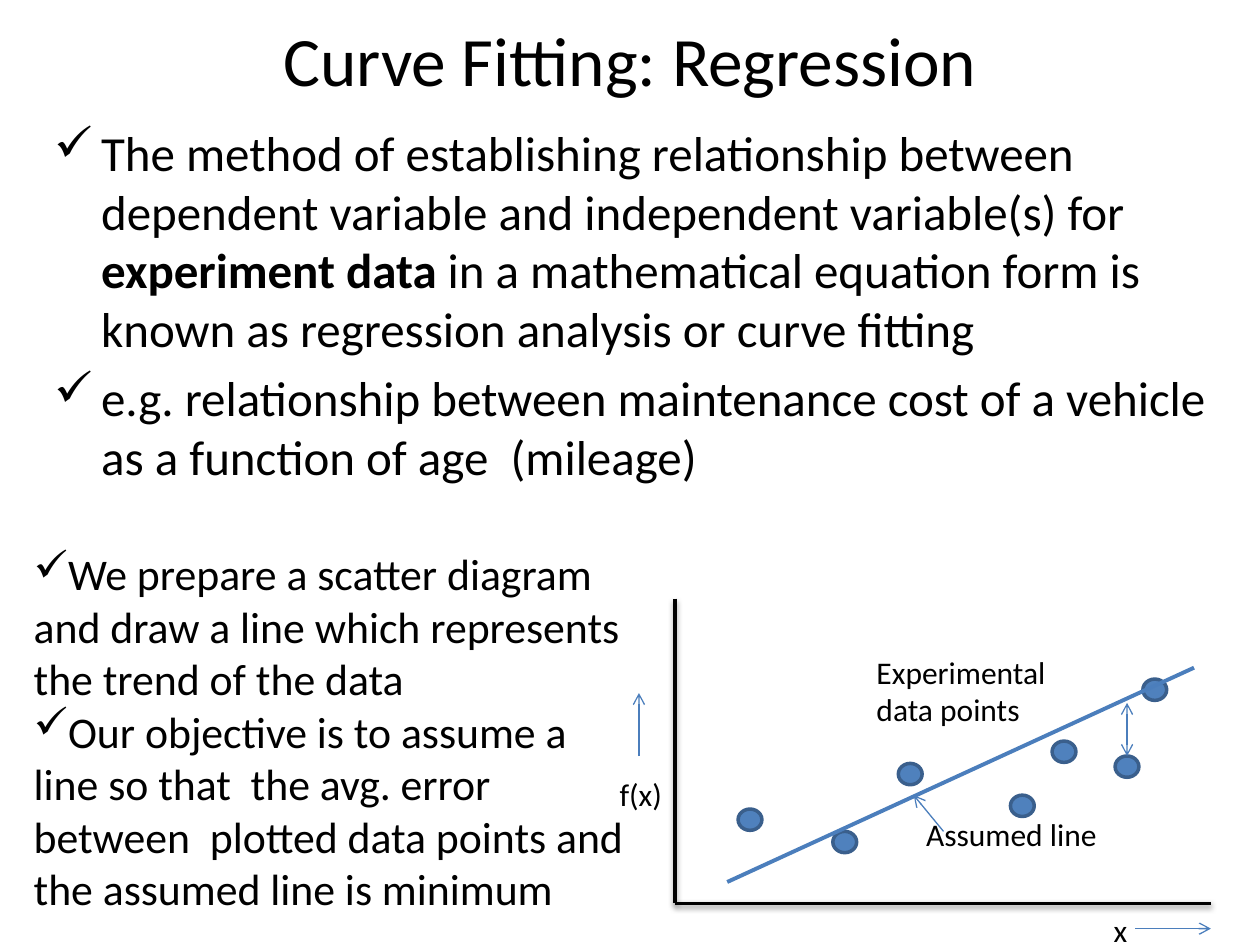
from dataclasses import dataclass

from lxml.etree import SubElement
from pptx import Presentation
from pptx.dml.color import RGBColor
from pptx.enum.shapes import MSO_CONNECTOR, MSO_SHAPE
from pptx.enum.text import MSO_ANCHOR, PP_ALIGN
from pptx.oxml.ns import qn
from pptx.util import Cm, Pt


@dataclass(frozen=True)
class Theme:
    font: str = "Calibri"
    black: RGBColor = RGBColor(0x00, 0x00, 0x00)
    point_fill: RGBColor = RGBColor(0x4F, 0x81, 0xBD)
    point_edge: RGBColor = RGBColor(0x3A, 0x5F, 0x8C)
    blue_line: RGBColor = RGBColor(0x4B, 0x7E, 0xBC)
    title_size: float = 39.6
    body_size: float = 28
    objective_size: float = 25
    label_size: float = 18
    thin: float = 0.75
    medium: float = 2
    thick: float = 2.25


THEME = Theme()
BULLET = "✓"
POINT_WIDTH, POINT_HEIGHT = 0.48, 0.43
AXIS_ORIGIN = (13.61, 18.21)
AXIS_TOP = 12.07
AXIS_RIGHT = 24.41

BODY = [
    [
        ("The method of establishing relationship between dependent variable "
         "and independent variable(s) for ", False),
        ("experiment data", True),
        (" in a mathematical equation form is known as regression analysis "
         "or curve fitting", False),
    ],
    [("e.g. relationship between maintenance cost of a vehicle as a function "
      "of age  (mileage)", False)],
]
OBJECTIVES = [
    [("We prepare a scatter diagram and draw a line which represents the "
      "trend of the data", False)],
    [("Our objective is to assume a line so that  the avg. error between  "
      "plotted data points and the assumed line is minimum", False)],
]
POINTS = [(14.88, 16.31), (16.79, 16.76), (18.11, 15.39), (20.37, 16.03),
          (23.04, 13.69), (21.21, 14.94)]
MEASURED_POINT = (22.48, 15.24)
LABELS = [
    ("Experimental data points", (17.42, 13.03, 4.42, 1.8), True),
    ("Assumed line", (18.42, 16.31, 6.17, 1.02), True),
    ("f(x)", (12.24, 15.49, 1.37, 1.02), False),
    ("x", (22.2, 18.24, 0.79, 1.02), False),
]


def set_bullet(paragraph, indent):
    properties = paragraph._p.get_or_add_pPr()
    properties.set("marL", str(Cm(indent)))
    properties.set("indent", str(-Cm(indent)))
    SubElement(properties, qn("a:buChar"), char=BULLET)


def set_font(paragraph, size):
    paragraph.font.name = THEME.font
    paragraph.font.size = Pt(size)
    paragraph.font.color.rgb = THEME.black


def add_text(slide, box, text, size, wrap=True):
    frame = slide.shapes.add_textbox(*map(Cm, box)).text_frame
    frame.word_wrap = wrap
    paragraph = frame.paragraphs[0]
    paragraph.text = text
    set_font(paragraph, size)
    return frame


def add_bullets(slide, box, items, size, indent=0, gap=0):
    """Add bulleted paragraphs, each a list of (text, bold) runs."""
    frame = slide.shapes.add_textbox(*map(Cm, box)).text_frame
    frame.word_wrap = True
    for index, runs in enumerate(items):
        paragraph = frame.add_paragraph() if index else frame.paragraphs[0]
        set_bullet(paragraph, indent)
        set_font(paragraph, size)
        if index:
            paragraph.space_before = Pt(gap)
        for text, bold in runs:
            run = paragraph.add_run()
            run.text = text
            if bold:
                run.font.bold = True


def add_point(slide, left, top):
    shape = slide.shapes.add_shape(
        MSO_SHAPE.FLOWCHART_CONNECTOR,
        Cm(left), Cm(top), Cm(POINT_WIDTH), Cm(POINT_HEIGHT))
    shape.shadow.inherit = False
    shape.fill.solid()
    shape.fill.fore_color.rgb = THEME.point_fill
    shape.line.color.rgb = THEME.point_edge
    shape.line.width = Pt(THEME.medium)
    return shape


def add_line(slide, start, end, color, width, arrows=()):
    """Add a line with open arrowheads at the named ends; return it and its effects."""
    connector = slide.shapes.add_connector(
        MSO_CONNECTOR.STRAIGHT, *map(Cm, (*start, *end)))
    connector.line.color.rgb = color
    connector.line.width = Pt(width)
    line = connector.line._get_or_add_ln()
    for arrow in arrows:
        SubElement(line, qn(f"a:{arrow}"), type="arrow")
    effects = SubElement(connector._element.spPr, qn("a:effectLst"))
    return connector, effects


def add_axis(slide, start, end):
    _, effects = add_line(slide, start, end, THEME.black, THEME.medium)
    shadow = SubElement(effects, qn("a:outerShdw"), blurRad=str(Pt(3.1)),
                        dist=str(Pt(1.6)), dir="5400000", rotWithShape="0")
    color = SubElement(shadow, qn("a:srgbClr"), val=str(THEME.black))
    SubElement(color, qn("a:alpha"), val="38000")


def add_arrow(slide, start, end, arrows=("tailEnd",)):
    return add_line(slide, start, end, THEME.blue_line, THEME.thin, arrows)[0]


def add_scatter_diagram(slide):
    for left, top in POINTS:
        add_point(slide, left, top)
    measured = add_point(slide, *MEASURED_POINT)
    add_line(slide, (14.66, 17.78), (24.07, 13.46),
             THEME.blue_line, THEME.thick)

    add_axis(slide, AXIS_ORIGIN, (AXIS_RIGHT, AXIS_ORIGIN[1]))
    add_axis(slide, (AXIS_ORIGIN[0], AXIS_TOP), AXIS_ORIGIN)
    for text, box, wrap in LABELS:
        add_text(slide, box, text, THEME.label_size, wrap)

    add_arrow(slide, (19.02, 16.76), (18.42, 16.03))
    add_arrow(slide, (12.88, 15.24), (12.88, 13.97))
    add_arrow(slide, (22.89, 18.72), (AXIS_RIGHT, 18.72))
    center = MEASURED_POINT[0] + POINT_WIDTH / 2
    error = add_arrow(slide, (center, 14.17), (center, MEASURED_POINT[1]),
                      ("headEnd", "tailEnd"))
    error.end_connect(measured, 0)


def main():
    presentation = Presentation()
    presentation.slide_width, presentation.slide_height = Cm(25.4), Cm(19.05)
    slide = presentation.slides.add_slide(presentation.slide_layouts[6])

    title = add_text(slide, (1.27, 0.2, 22.86, 1.98),
                     "Curve Fitting: Regression", THEME.title_size)
    title.vertical_anchor = MSO_ANCHOR.MIDDLE
    title.paragraphs[0].alignment = PP_ALIGN.CENTER
    add_bullets(slide, (0.84, 2.34, 24.23, 8.26), BODY, THEME.body_size,
                indent=0.95, gap=5.6)
    add_scatter_diagram(slide)
    add_bullets(slide, (0.43, 10.9, 12.5, 7.75), OBJECTIVES,
                THEME.objective_size)

    presentation.save("out.pptx")


if __name__ == "__main__":
    main()
